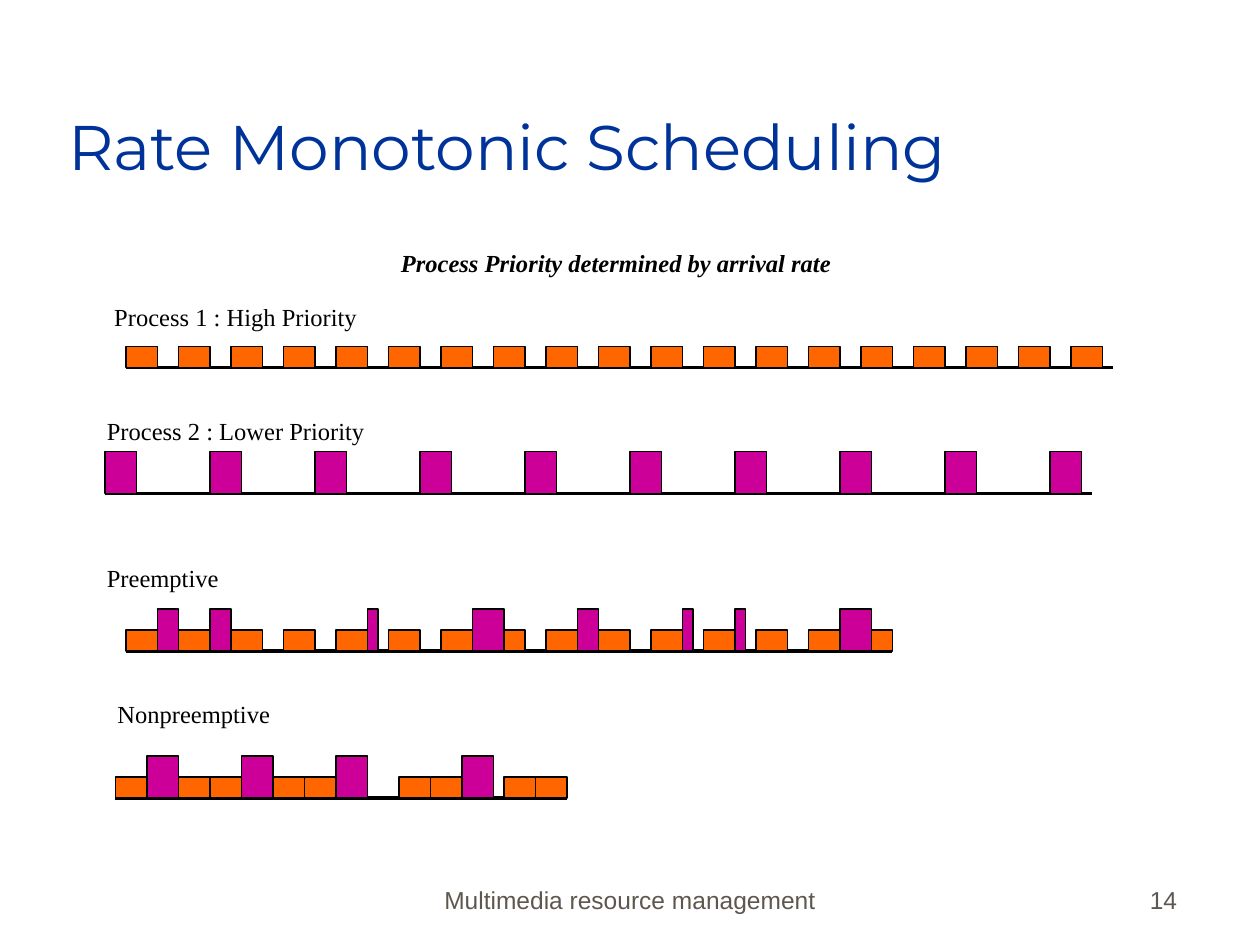
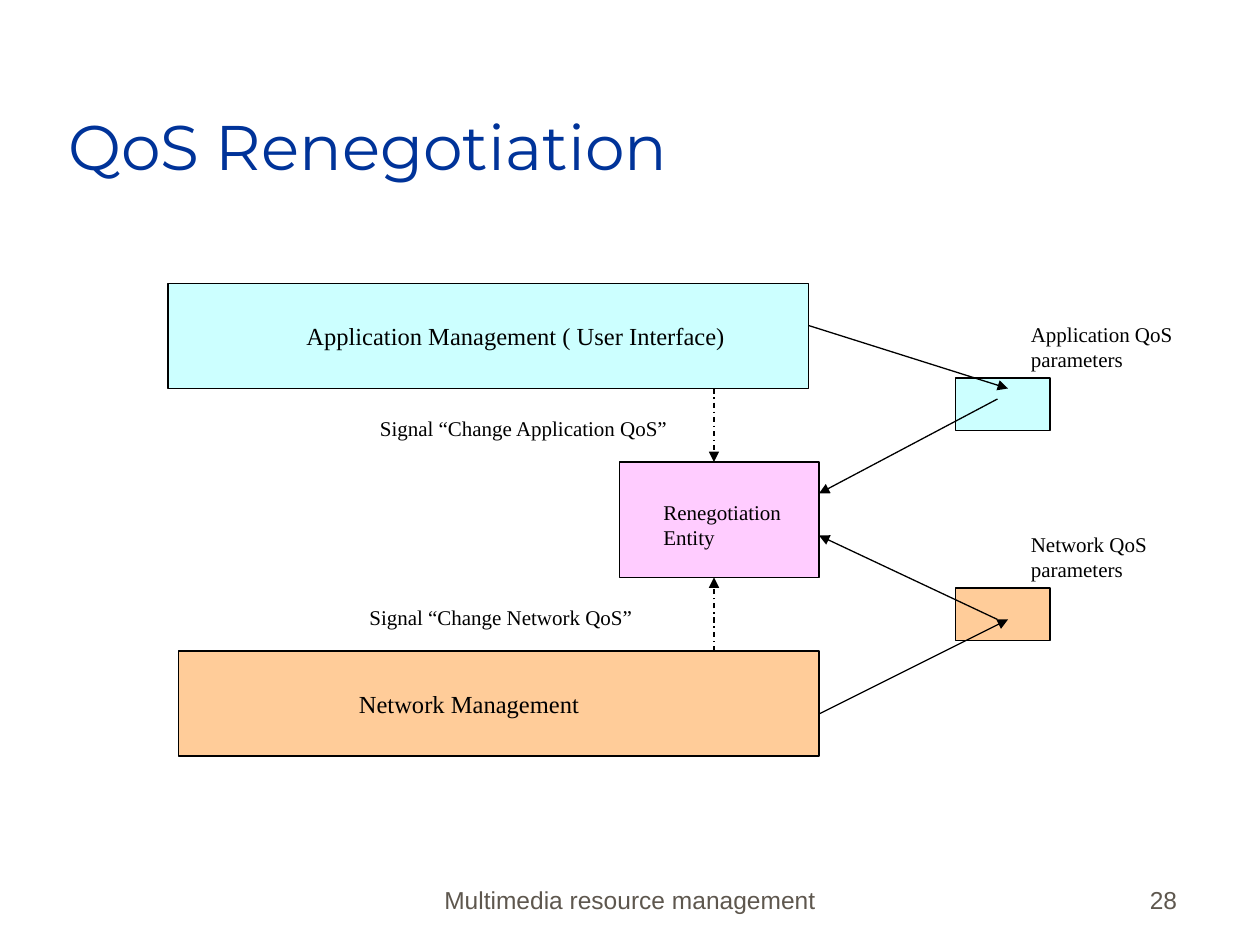
from dataclasses import dataclass

import lxml.etree
import pptx
import pptx.dml.color
import pptx.enum.dml
import pptx.enum.shapes
import pptx.enum.text
import pptx.oxml.ns
import pptx.util

ALIGN = pptx.enum.text.PP_ALIGN
ANCHOR = pptx.enum.text.MSO_ANCHOR
EMU_PER_PX = 7620  # 120 px to the inch

BLACK = "000000"
TITLE_BLUE = "003399"
FOOTER_GREY = "5E574E"
ORANGE = "FF6600"
MAGENTA = "CC0099"
APPLICATION_CYAN = "CCFFFF"
NETWORK_PEACH = "FFCC99"
ENTITY_PINK = "FFCCFF"

TITLE_FONT = "Montserrat"
BODY_FONT = "Times New Roman"
FOOTER_FONT = "Arial"

LOW_BAR = 20
HIGH_BAR = 40
JOB = 30  # full length of one job


@dataclass(frozen=True)
class Box:
    left: int
    top: int
    width: int
    height: int


@dataclass(frozen=True)
class Label:
    lines: tuple[str, ...]
    box: Box
    size: int = 14
    font: str = BODY_FONT
    color: str = BLACK
    emphasis: bool = False
    wrap: bool = False
    align: ALIGN = ALIGN.LEFT
    anchor: ANCHOR = ANCHOR.TOP


@dataclass(frozen=True)
class Bars:
    color: str
    height: int
    spans: tuple[tuple[int, int], ...]  # left and width of each bar


@dataclass(frozen=True)
class Timeline:
    start: int
    end: int
    baseline: int
    bars: tuple[Bars, ...]


@dataclass(frozen=True)
class Block:
    box: Box
    color: str


@dataclass(frozen=True)
class Arrow:
    start: tuple[int, int]
    end: tuple[int, int]
    dashed: bool = False


def px(length: int) -> pptx.util.Emu:
    return pptx.util.Emu(length * EMU_PER_PX)


def rgb(color: str) -> pptx.dml.color.RGBColor:
    return pptx.dml.color.RGBColor.from_string(color)


def place(box: Box) -> tuple:
    return px(box.left), px(box.top), px(box.width), px(box.height)


def write_text(frame, label: Label) -> None:
    frame.auto_size = pptx.enum.text.MSO_AUTO_SIZE.NONE
    frame.word_wrap = label.wrap
    frame.vertical_anchor = label.anchor
    for index, line in enumerate(label.lines):
        paragraph = frame.add_paragraph() if index else frame.paragraphs[0]
        paragraph.alignment = label.align
        run = paragraph.add_run()
        run.text = line
        run.font.name = label.font
        run.font.size = pptx.util.Pt(label.size)
        run.font.color.rgb = rgb(label.color)
        run.font.bold = label.emphasis
        run.font.italic = label.emphasis


def add_label(slide, label: Label) -> None:
    write_text(slide.shapes.add_textbox(*place(label.box)).text_frame, label)


def add_block(slide, block: Block) -> None:
    shape = slide.shapes.add_shape(
        pptx.enum.shapes.MSO_SHAPE.RECTANGLE, *place(block.box))
    shape.shadow.inherit = False
    shape.fill.solid()
    shape.fill.fore_color.rgb = rgb(block.color)
    shape.line.color.rgb = rgb(BLACK)
    shape.line.width = pptx.util.Pt(0.75)


def add_line(slide, start: tuple[int, int], end: tuple[int, int], width: float):
    connector = slide.shapes.add_connector(
        pptx.enum.shapes.MSO_CONNECTOR.STRAIGHT,
        px(start[0]), px(start[1]), px(end[0]), px(end[1]))
    connector.line.color.rgb = rgb(BLACK)
    connector.line.width = pptx.util.Pt(width)
    lxml.etree.SubElement(
        connector._element.spPr, pptx.oxml.ns.qn("a:effectLst"))
    return connector


def add_arrow(slide, arrow: Arrow) -> None:
    connector = add_line(slide, arrow.start, arrow.end, 0.75)
    if arrow.dashed:
        connector.line.dash_style = pptx.enum.dml.MSO_LINE.DASH_DOT
    line = connector._element.spPr.find(pptx.oxml.ns.qn("a:ln"))
    lxml.etree.SubElement(line, pptx.oxml.ns.qn("a:tailEnd"), type="triangle")


def add_timeline(slide, timeline: Timeline) -> None:
    add_line(slide, (timeline.start, timeline.baseline),
             (timeline.end, timeline.baseline), 2.25)
    for bars in timeline.bars:
        top = timeline.baseline - bars.height
        for left, width in bars.spans:
            add_block(slide, Block(Box(left, top, width, bars.height), bars.color))


def jobs(*lefts: int) -> tuple[tuple[int, int], ...]:
    return tuple((left, JOB) for left in lefts)


def periodic(start: int, period: int, count: int) -> tuple[tuple[int, int], ...]:
    return jobs(*(start + period * index for index in range(count)))


def add_slide(presentation, title: str, number: int):
    """Add a slide with the shared title and footer."""
    slide = presentation.slides.add_slide(presentation.slide_layouts[5])
    title_label = Label((title,), Box(53, 30, 1020, 150), 36, TITLE_FONT,
                        TITLE_BLUE, wrap=True, anchor=ANCHOR.BOTTOM)
    placeholder = slide.shapes.title
    placeholder.left, placeholder.top, placeholder.width, placeholder.height = (
        place(title_label.box))
    write_text(placeholder.text_frame, title_label)
    for text, box, align in (
            ("Multimedia resource management", Box(410, 817, 380, 60), ALIGN.CENTER),
            (str(number), Box(883, 817, 250, 60), ALIGN.RIGHT)):
        add_label(slide, Label((text,), box, 14, FOOTER_FONT, FOOTER_GREY,
                               wrap=True, align=align, anchor=ANCHOR.BOTTOM))
    return slide


# Rate monotonic scheduling
TIMELINES = (
    Timeline(120, 1060, 350, (Bars(ORANGE, LOW_BAR, periodic(120, 50, 19)),)),
    Timeline(100, 1040, 470, (Bars(MAGENTA, HIGH_BAR, periodic(100, 100, 10)),)),
    Timeline(120, 850, 620, (
        Bars(ORANGE, LOW_BAR, periodic(120, 50, 15)),
        Bars(MAGENTA, HIGH_BAR, (
            (150, 20), (200, 20), (350, 10), (450, 30),
            (550, 20), (650, 10), (700, 10), (800, 30))))),
    Timeline(110, 540, 760, (
        Bars(ORANGE, LOW_BAR,
             jobs(110, 170, 200, 260, 290, 380, 410, 480, 510)),
        Bars(MAGENTA, HIGH_BAR, jobs(140, 230, 320, 440)))),
)
SCHEDULE_LABELS = (
    Label(("Process Priority determined by arrival rate",),
          Box(370, 230, 433, 41), emphasis=True),
    Label(("Process 1 : High Priority",), Box(97, 282, 256, 41)),
    Label(("Process 2 : Lower Priority",), Box(90, 390, 269, 41)),
    Label(("Preemptive",), Box(90, 530, 254, 41), wrap=True),
    Label(("Nonpreemptive",), Box(100, 660, 254, 41), wrap=True),
)

# QoS renegotiation
BLOCKS = (
    Block(Box(160, 270, 610, 100), APPLICATION_CYAN),
    Block(Box(170, 620, 610, 100), NETWORK_PEACH),
    Block(Box(590, 440, 190, 110), ENTITY_PINK),
    Block(Box(910, 360, 90, 50), APPLICATION_CYAN),
    Block(Box(910, 560, 90, 50), NETWORK_PEACH),
)
ARROWS = (
    Arrow((770, 310), (960, 370)),
    Arrow((950, 380), (780, 470)),
    Arrow((780, 680), (960, 590)),
    Arrow((950, 590), (780, 510)),
    Arrow((680, 370), (680, 440), dashed=True),
    Arrow((680, 620), (680, 550), dashed=True),
)
QOS_LABELS = (
    Label(("Renegotiation", "Entity"), Box(620, 470, 136, 60), 12),
    Label(("Network Management",), Box(330, 650, 234, 41)),
    Label(("Application Management ( User Interface)",), Box(280, 300, 422, 41)),
    Label(("Application QoS", "parameters"), Box(970, 300, 158, 60), 12),
    Label(("Network QoS", "parameters"), Box(970, 500, 134, 60), 12),
    Label(("Signal “Change Application QoS”",), Box(350, 390, 299, 36), 12),
    Label(("Signal “Change Network QoS”",), Box(340, 570, 275, 36), 12),
)


def build_scheduling(presentation) -> None:
    slide = add_slide(presentation, "Rate Monotonic Scheduling", 14)
    for timeline in TIMELINES:
        add_timeline(slide, timeline)
    for label in SCHEDULE_LABELS:
        add_label(slide, label)


def build_renegotiation(presentation) -> None:
    slide = add_slide(presentation, "QoS Renegotiation", 28)
    for block in BLOCKS:
        add_block(slide, block)
    for arrow in ARROWS:
        add_arrow(slide, arrow)
    for label in QOS_LABELS:
        add_label(slide, label)


def main() -> None:
    presentation = pptx.Presentation()
    presentation.slide_width, presentation.slide_height = px(1200), px(900)
    build_scheduling(presentation)
    build_renegotiation(presentation)
    presentation.save("out.pptx")


if __name__ == "__main__":
    main()
